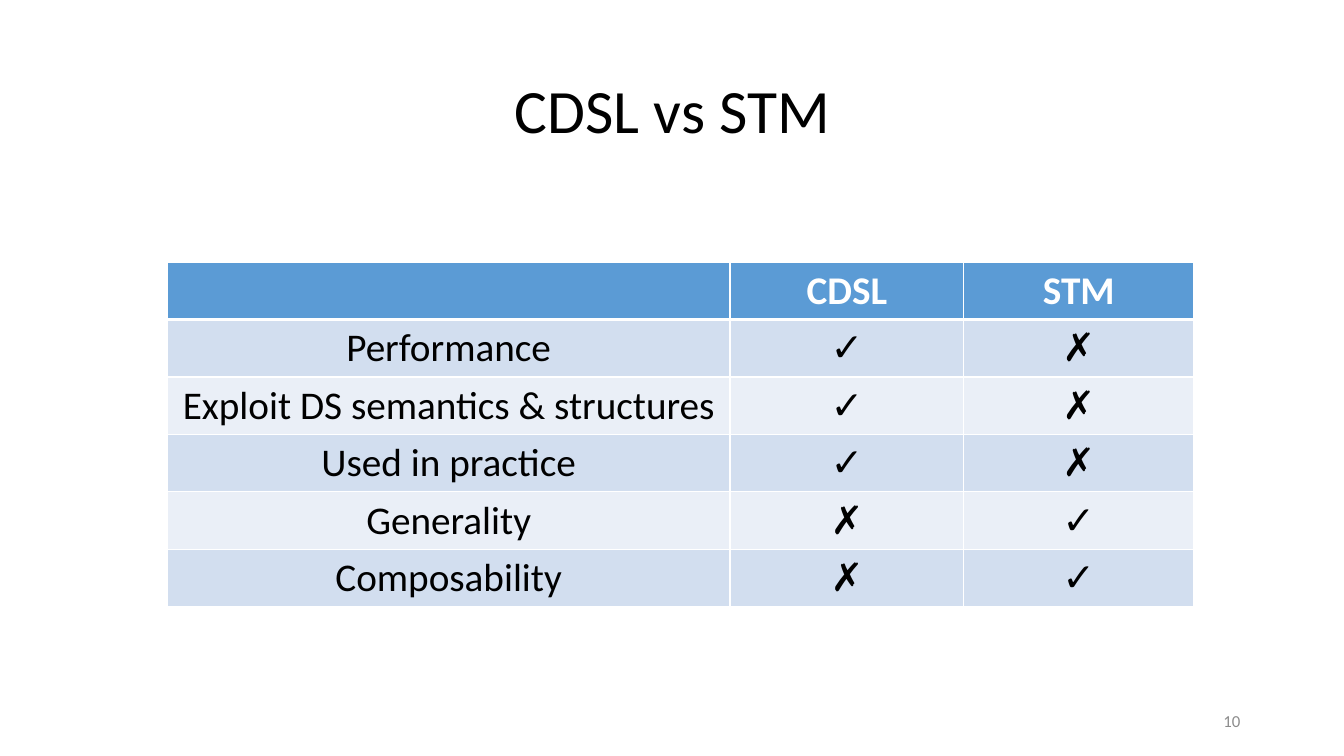
from lxml import etree
from pptx import Presentation
from pptx import util as u
from pptx.dml import color
from pptx.enum import text
from pptx.oxml import ns

YES, NO = "✓", "✗"
ROWS = [
    ("", "CDSL", "STM"),
    ("Performance", YES, NO),
    ("Exploit DS semantics & structures", YES, NO),
    ("Used in practice", YES, NO),
    ("Generality", NO, YES),
    ("Composability", NO, YES),
]
COLS = (5.58, 2.32, 2.28)


def rgb(hue):
    return color.RGBColor.from_string(hue)


class Deck:
    FONT = "Calibri"
    INK, PALE, GREY = "000000", "FFFFFF", "8C8C8C"
    HEAD, BANDS = "5B9BD5", ("EAEFF7", "D2DEEF")

    def __init__(self):
        self.file = Presentation()
        self.file.slide_width = u.Inches(13.33)
        self.file.slide_height = u.Inches(7.5)
        self.slide = self.file.slides.add_slide(self.file.slide_layouts[6])

    def style(self, para, size, hue, align, bold=False):
        para.alignment = align
        para.font.name = self.FONT
        para.font.size = u.Pt(size)
        para.font.bold = bold
        para.font.color.rgb = rgb(hue)

    def label(self, words, box, size, hue, align):
        frame = self.slide.shapes.add_textbox(*map(u.Inches, box)).text_frame
        frame.word_wrap = True
        frame.vertical_anchor = text.MSO_ANCHOR.MIDDLE
        para = frame.paragraphs[0]
        para.text = words
        self.style(para, size, hue, align)
        return para

    def border(self, cell, side, width):
        props = cell._tc.get_or_add_tcPr()
        line = etree.SubElement(props, ns.qn("a:ln" + side), w=str(u.Pt(width)))
        fill = etree.SubElement(line, ns.qn("a:solidFill"))
        etree.SubElement(fill, ns.qn("a:srgbClr"), val=self.PALE)

    def cell(self, cell, words, row):
        head = row == 0
        # The rule under the header is thicker than the others
        for side in "LRTB":
            thick = (row, side) in ((0, "B"), (1, "T"))
            self.border(cell, side, 3 if thick else 1)
        cell.fill.solid()
        cell.fill.fore_color.rgb = rgb(self.HEAD if head else self.BANDS[row % 2])
        para = cell.text_frame.paragraphs[0]
        para.text = words
        self.style(para, 28, self.PALE if head else self.INK,
                   text.PP_ALIGN.CENTER, head)

    def table(self, rows, cols, left, top, high):
        box = map(u.Inches, (left, top, sum(cols), high * len(rows)))
        grid = self.slide.shapes.add_table(len(rows), len(cols), *box).table
        for col, width in zip(grid.columns, cols):
            col.width = u.Inches(width)
        for r, row in enumerate(rows):
            for c, words in enumerate(row):
                self.cell(grid.cell(r, c), words, r)


def main():
    deck = Deck()
    # Title
    title = deck.label("CDSL vs STM", (0.92, 0.4, 11.5, 1.45), 44,
                       deck.INK, text.PP_ALIGN.CENTER)
    title.line_spacing = 0.9
    # Comparison table
    deck.table(ROWS, COLS, 1.66, 2.6, 0.57)
    # Page number
    deck.label("10", (9.4, 6.95, 3, 0.4), 12, deck.GREY, text.PP_ALIGN.RIGHT)
    deck.file.save("out.pptx")


if __name__ == "__main__":
    main()
